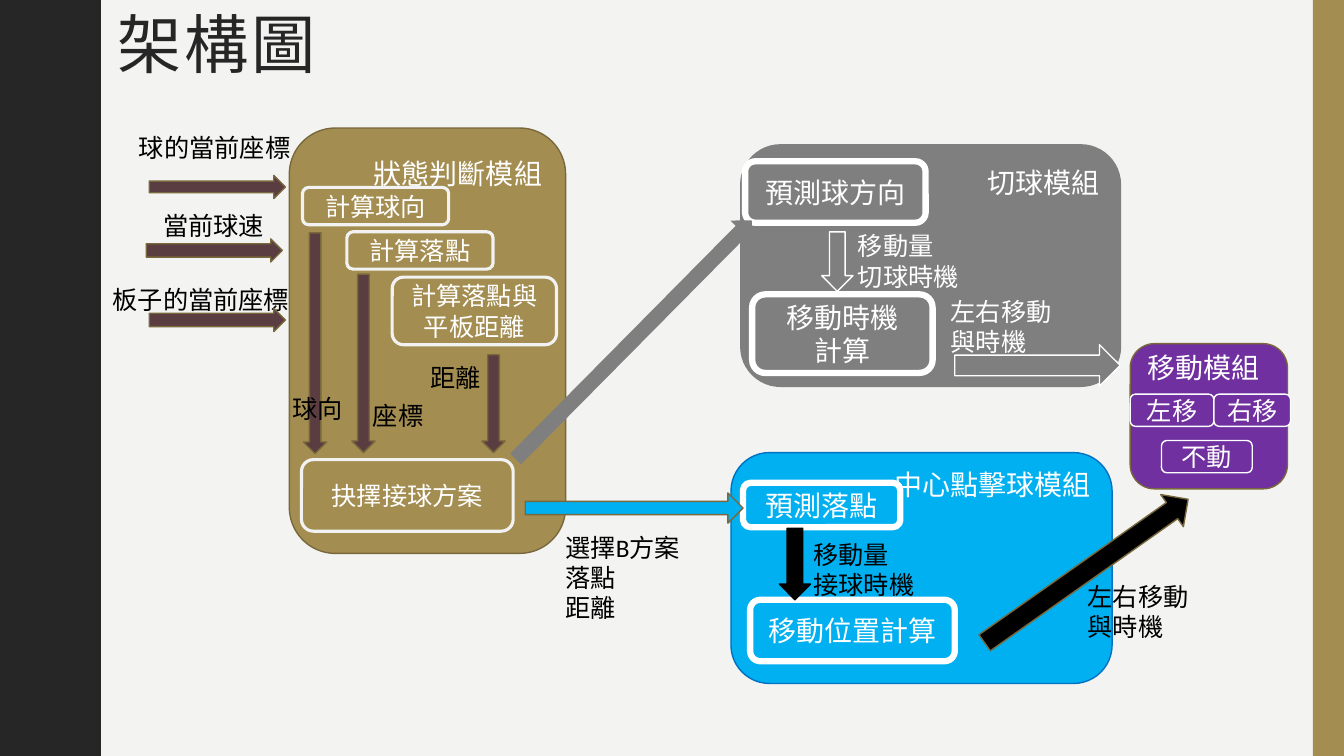
from pptx import Presentation
from pptx.dml.color import RGBColor
from pptx.enum import shapes, text
from pptx.util import Inches, Pt

KIND = shapes.MSO_SHAPE
ALIGN = text.PP_ALIGN
ANCHOR = text.MSO_ANCHOR
GOLD, BRONZE, BROWN = "A38D51", "79683C", "5A3D40"
GRAY, BLUE, PURPLE = "7F7F7F", "00B0F0", "7030A0"
WHITE, BLACK, DARK, PALE = "FFFFFF", "000000", "262626", "F2F2F2"


def color(value):
    return RGBColor.from_string(value)


def write(frame, words, size=18, ink=WHITE, font="Calibri", align=ALIGN.CENTER,
          anchor=ANCHOR.MIDDLE, wrap=True, top=0.05, spacing=None, tracking=None):
    frame.word_wrap = wrap
    frame.vertical_anchor = anchor
    frame.margin_top = Inches(top)
    for number, line in enumerate(words.split("\n")):
        paragraph = frame.add_paragraph() if number else frame.paragraphs[0]
        paragraph.alignment = align
        paragraph.line_spacing = spacing
        run = paragraph.add_run()
        run.text = line
        run.font.size = Pt(size)
        run.font.name = font
        run.font.color.rgb = color(ink)
        if tracking:
            run._r.get_or_add_rPr().set("spc", str(tracking * 100))


class Diagram:
    def __init__(self, slide):
        self.slide = slide
        slide.background.fill.solid()
        slide.background.fill.fore_color.rgb = color("F3F3F2")

    def paint(self, shape, fill, line=None, weight=1):
        shape.shadow.inherit = False
        shape.fill.solid()
        shape.fill.fore_color.rgb = color(fill)
        if line:
            shape.line.color.rgb = color(line)
            shape.line.width = Pt(weight)
        else:
            shape.line.fill.background()
        return shape

    def shape(self, kind, box, fill, line=None, weight=1):
        added = self.slide.shapes.add_shape(kind, *map(Inches, box))
        return self.paint(added, fill, line, weight)

    def box(self, words, place, fill, line=None, weight=1, **style):
        added = self.shape(KIND.ROUNDED_RECTANGLE, place, fill, line, weight)
        write(added.text_frame, words, **style)

    def module(self, words, place, fill, line, top, align=ALIGN.RIGHT):
        self.box(words, place, fill, line, size=20, align=align,
                 anchor=ANCHOR.TOP, top=top)

    def arrow(self, place, fill, line=None, turn=0, shaft=0.5, kind=KIND.RIGHT_ARROW):
        added = self.shape(kind, place, fill, line)
        added.rotation = turn
        added.adjustments[0] = shaft

    def label(self, words, place, ink=BLACK, align=ALIGN.LEFT, wrap=False,
              anchor=ANCHOR.TOP, **style):
        added = self.slide.shapes.add_textbox(*map(Inches, place))
        write(added.text_frame, words, ink=ink, align=align, wrap=wrap,
              anchor=anchor, **style)

    def wavy_edge(self):
        half = [(0.78, 0), (0.78, 0.07), (0.79, 0.14), (0.8, 0.2), (0.81, 0.25),
                (0.85, 0.33), (0.89, 0.42), (0.93, 0.5), (0.95, 0.55),
                (0.96, 0.61), (0.97, 0.68), (0.97, 0.75)]
        wave = half + [(x, 1.5 - y) for x, y in reversed(half[:-1])]
        points = [(x, y + 1.5 * cycle) for cycle in range(5) for x, y in wave]
        outline = self.slide.shapes.build_freeform(0, 0, scale=Inches(1))
        outline.add_line_segments(points + [(0, 7.5)], close=True)
        self.paint(outline.convert_to_shape(), DARK)


deck = Presentation()
deck.slide_width, deck.slide_height = Inches(13.33), Inches(7.5)
diagram = Diagram(deck.slides.add_slide(deck.slide_layouts[6]))

diagram.wavy_edge()
diagram.shape(KIND.RECTANGLE, (13.02, 0, 0.31, 7.5), GOLD)
diagram.label("架構圖", (1.07, 0.14, 11.05, 0.66), DARK, wrap=True, size=45.9,
              font="Roboto Condensed", anchor=ANCHOR.MIDDLE, spacing=0.9, tracking=2)

diagram.module("狀態判斷模組", (2.87, 1.27, 2.74, 4.22), GOLD, BRONZE, 0.15)
diagram.module("中心點擊球模組", (7.25, 4.49, 3.78, 2.29), BLUE, "0070C0", 0.04)
diagram.module("切球模組", (7.34, 1.43, 3.78, 2.41), GRAY, None, 0.09)
diagram.module("移動模組", (11.21, 3.41, 1.56, 1.44), PURPLE, BRONZE, 0, ALIGN.LEFT)

for move, place in [("左移", (11.21, 3.91, 0.83, 0.32)),
                    ("右移", (12.04, 3.91, 0.76, 0.32)),
                    ("不動", (11.52, 4.37, 0.9, 0.32))]:
    diagram.box(move, place, PURPLE, WHITE)

for reading, place, left, top, shaft in [
        ("球的當前座標", (1.28, 1.26, 1.72, 0.4), 1.48, 1.74, 0.5),
        ("當前球速", (1.52, 2.04, 1.21, 0.4), 1.45, 2.37, 0.58),
        ("板子的當前座標", (1.02, 2.77, 1.97, 0.4), 1.48, 3.06, 0.58)]:
    diagram.label(reading, place, font="Noto Sans CJK SC")
    diagram.arrow((left, top, 1.35, 0.23), BROWN, BRONZE, shaft=shaft)

for step, place in [("計算球向", (3, 1.86, 1.45, 0.37)),
                    ("計算落點", (3.44, 2.3, 1.45, 0.37)),
                    ("計算落點與平板距離", (3.89, 2.75, 1.63, 0.67)),
                    ("抉擇接球方案", (2.99, 4.56, 2.1, 0.71))]:
    diagram.box(step, place, GOLD, PALE, 2.25)

for result, place, left, top, length in [
        ("球向", (2.8, 3.85, 0.71, 0.4), 2.03, 3.29, 2.19),
        ("座標", (3.6, 3.92, 0.71, 0.4), 2.72, 3.49, 1.77),
        ("距離", (4.17, 3.55, 0.71, 0.4), 4.41, 3.89, 0.97)]:
    diagram.arrow((left, top, length, 0.23), BROWN, BRONZE, turn=90)
    diagram.label(result, place)

for step, place, fill in [("預測落點", (7.37, 4.79, 1.56, 0.44), BLUE),
                          ("預測球方向", (7.39, 1.6, 1.79, 0.61), GRAY),
                          ("移動時機\n計算", (7.46, 2.92, 1.79, 0.78), GRAY),
                          ("移動位置計算", (7.44, 5.95, 2.03, 0.61), BLUE)]:
    diagram.box(step, place, fill, WHITE, 4.5, size=20)

diagram.arrow((5.21, 4.89, 2.16, 0.3), BLUE, BRONZE, shaft=0.44)
diagram.arrow((4.62, 3.22, 3.33, 0.3), GRAY, turn=314.7)
diagram.arrow((8.15, 2.3, 0.31, 0.59), GRAY, WHITE, kind=KIND.DOWN_ARROW)
diagram.arrow((7.73, 5.24, 0.31, 0.71), BLACK, BLACK, kind=KIND.DOWN_ARROW)
diagram.arrow((9.47, 3.42, 1.64, 0.41), GRAY, WHITE)
diagram.arrow((9.54, 5.47, 2.47, 0.39), BLACK, BRONZE, turn=324.8)

diagram.label("選擇B方案\n落點\n距離", (5.51, 5.23, 1.35, 1.01), wrap=True)
for output, left, top, ink in [("移動量\n切球時機", 8.41, 2.24, WHITE),
                               ("移動量\n接球時機", 7.97, 5.3, BLACK),
                               ("左右移動\n與時機", 9.33, 2.89, WHITE),
                               ("左右移動\n與時機", 10.69, 5.72, BLACK)]:
    diagram.label(output, (left, top, 1.21, 0.71), ink)

deck.save("out.pptx")
